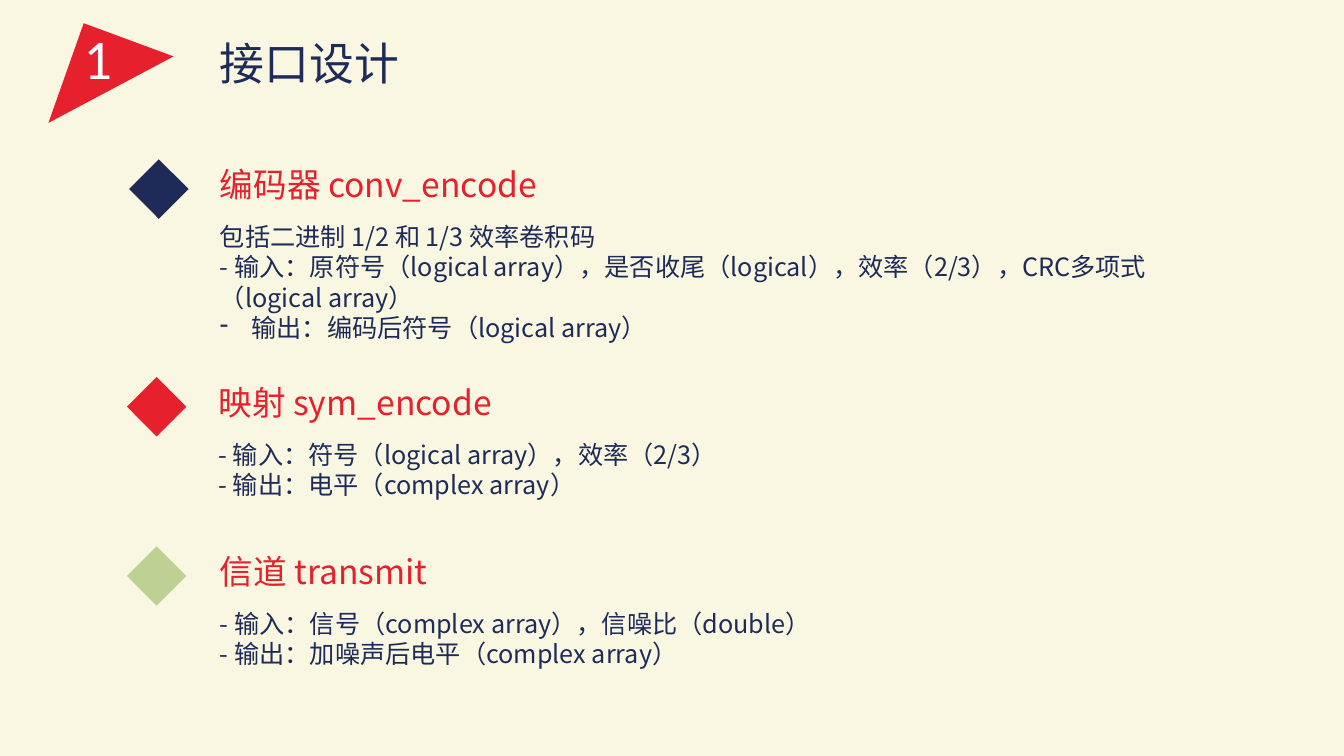
from dataclasses import dataclass

from lxml import etree
from pptx import Presentation
from pptx.dml.color import RGBColor
from pptx.enum.shapes import MSO_SHAPE
from pptx.oxml.ns import qn
from pptx.slide import Slide
from pptx.util import Pt

DIAMOND = MSO_SHAPE.DIAMOND


@dataclass(frozen=True)
class Theme:
    background: RGBColor = RGBColor(0xF9, 0xF7, 0xE2)
    navy: RGBColor = RGBColor(0x1E, 0x2B, 0x58)
    red: RGBColor = RGBColor(0xE6, 0x20, 0x2D)
    green: RGBColor = RGBColor(0xBD, 0xD1, 0x94)
    white: RGBColor = RGBColor(0xFF, 0xFF, 0xFF)
    font: str = "Noto Sans CJK SC"
    number_font: str = "Calibri"
    number_size: float = 40
    title_size: float = 32
    heading_size: float = 24
    body_size: float = 18
    heading_gap: float = 12
    hanging_indent: float = 22.5


@dataclass(frozen=True)
class Box:
    left: float
    top: float
    width: float
    height: float

    def lengths(self) -> tuple[Pt, Pt, Pt, Pt]:
        return Pt(self.left), Pt(self.top), Pt(self.width), Pt(self.height)


@dataclass(frozen=True)
class Section:
    heading: str
    lines: tuple[str, ...]
    box: Box
    marker_left: float
    marker_color: RGBColor
    bulleted: tuple[str, ...] = ()


THEME = Theme()
MARKER_SIZE = 42.5
FLAG_POINTS = ((59.8, 16.6), (124, 40.3), (34.6, 87.8))
SECTIONS = (
    Section(
        "编码器 conv_encode",
        (
            "包括二进制 1/2 和 1/3 效率卷积码",
            "- 输入：原符号（logical array），是否收尾（logical），效率（2/3），CRC多项式（logical array）",
        ),
        Box(150, 113.8, 702, 157.7), 92.2, THEME.navy,
        ("输出：编码后符号（logical array）",),
    ),
    Section(
        "映射 sym_encode",
        ("- 输入：符号（logical array），效率（2/3）", "- 输出：电平（complex array）"),
        Box(149, 269.3, 480, 92.2), 90.7, THEME.red,
    ),
    Section(
        "信道 transmit",
        ("- 输入：信号（complex array），信噪比（double）", "- 输出：加噪声后电平（complex array）"),
        Box(150, 390.2, 480, 92.2), 90.7, THEME.green,
    ),
)


def style_paragraph(p, size: float, color: RGBColor, font: str = THEME.font) -> None:
    for r in p.runs:
        r.font.size = Pt(size)
        r.font.color.rgb = color
        r.font.name = font
        etree.SubElement(r.font._element, qn("a:ea"), typeface=font)


def add_dash_bullet(p) -> None:
    pPr = p._p.get_or_add_pPr()
    pPr.set("marL", str(Pt(THEME.hanging_indent)))
    pPr.set("indent", str(-Pt(THEME.hanging_indent)))
    etree.SubElement(pPr, qn("a:buChar"), char="-")


def paint(sp, color: RGBColor) -> None:
    sp.shadow.inherit = False
    sp.fill.solid()
    sp.fill.fore_color.rgb = color
    sp.line.fill.background()


def add_label(slide: Slide, text: str, box: Box, size: float, color: RGBColor, font: str) -> None:
    tf = slide.shapes.add_textbox(*box.lengths()).text_frame
    tf.word_wrap = True
    tf.text = text
    style_paragraph(tf.paragraphs[0], size, color, font)


def add_flag(slide: Slide) -> None:
    start, *others = [(Pt(x), Pt(y)) for x, y in FLAG_POINTS]
    builder = slide.shapes.build_freeform(*start)
    builder.add_line_segments(others, close=True)
    paint(builder.convert_to_shape(), THEME.red)


def add_section(slide: Slide, section: Section) -> None:
    marker = Box(section.marker_left, section.box.top, MARKER_SIZE, MARKER_SIZE)
    paint(slide.shapes.add_shape(DIAMOND, *marker.lengths()), section.marker_color)
    tf = slide.shapes.add_textbox(*section.box.lengths()).text_frame
    tf.word_wrap = True
    tf.text = "\n".join((section.heading, *section.lines, *section.bulleted))
    heading, *body = tf.paragraphs
    style_paragraph(heading, THEME.heading_size, THEME.red)
    heading.space_after = Pt(THEME.heading_gap)
    for p in body:
        style_paragraph(p, THEME.body_size, THEME.navy)
    for p in body[len(section.lines):]:
        add_dash_bullet(p)


def main() -> None:
    """Build the interface design slide."""
    prs = Presentation()
    prs.slide_width, prs.slide_height = Pt(960), Pt(540)
    slide = prs.slides.add_slide(prs.slide_layouts[6])
    slide.background.fill.solid()
    slide.background.fill.fore_color.rgb = THEME.background
    add_label(slide, "接口设计", Box(149.8, 22.3, 144, 46), THEME.title_size, THEME.navy, THEME.font)
    add_flag(slide)
    add_label(slide, "1", Box(52.6, 13, 39, 55.4), THEME.number_size, THEME.white, THEME.number_font)
    for section in SECTIONS:
        add_section(slide, section)
    prs.save("out.pptx")


if __name__ == "__main__":
    main()
